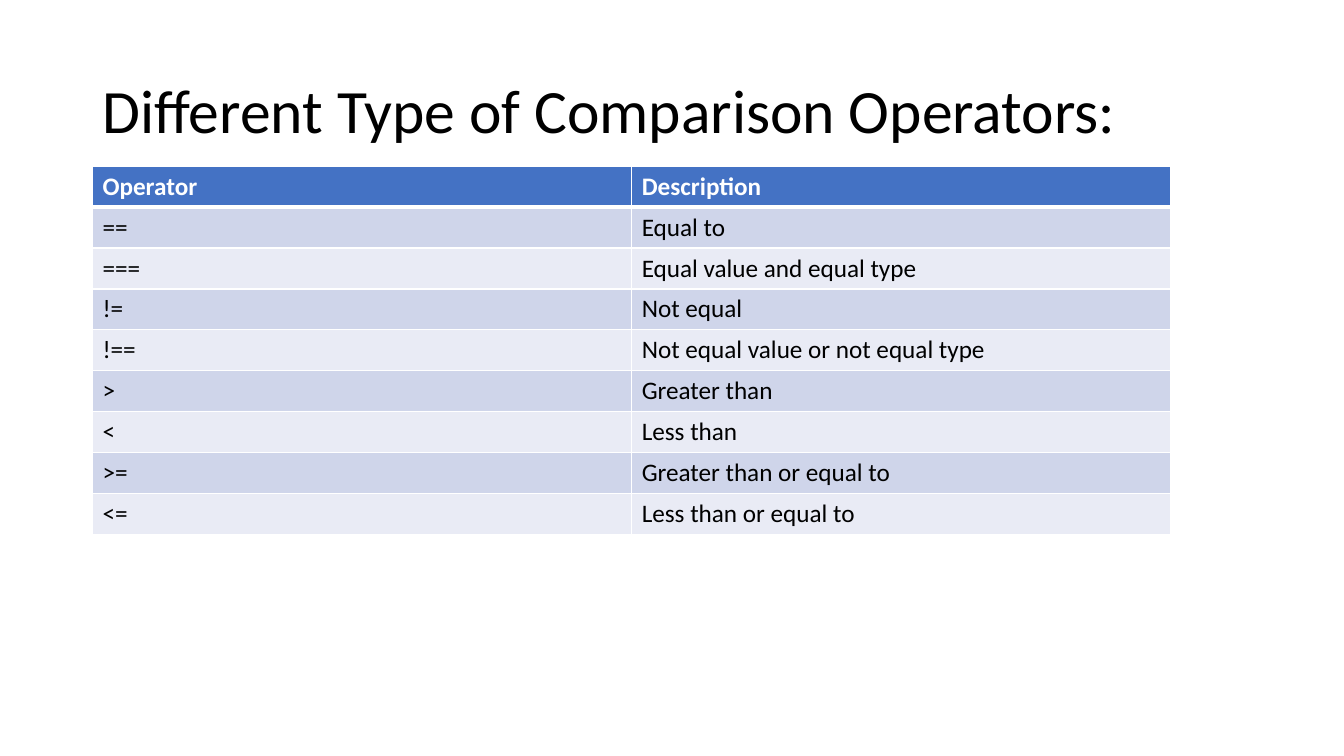
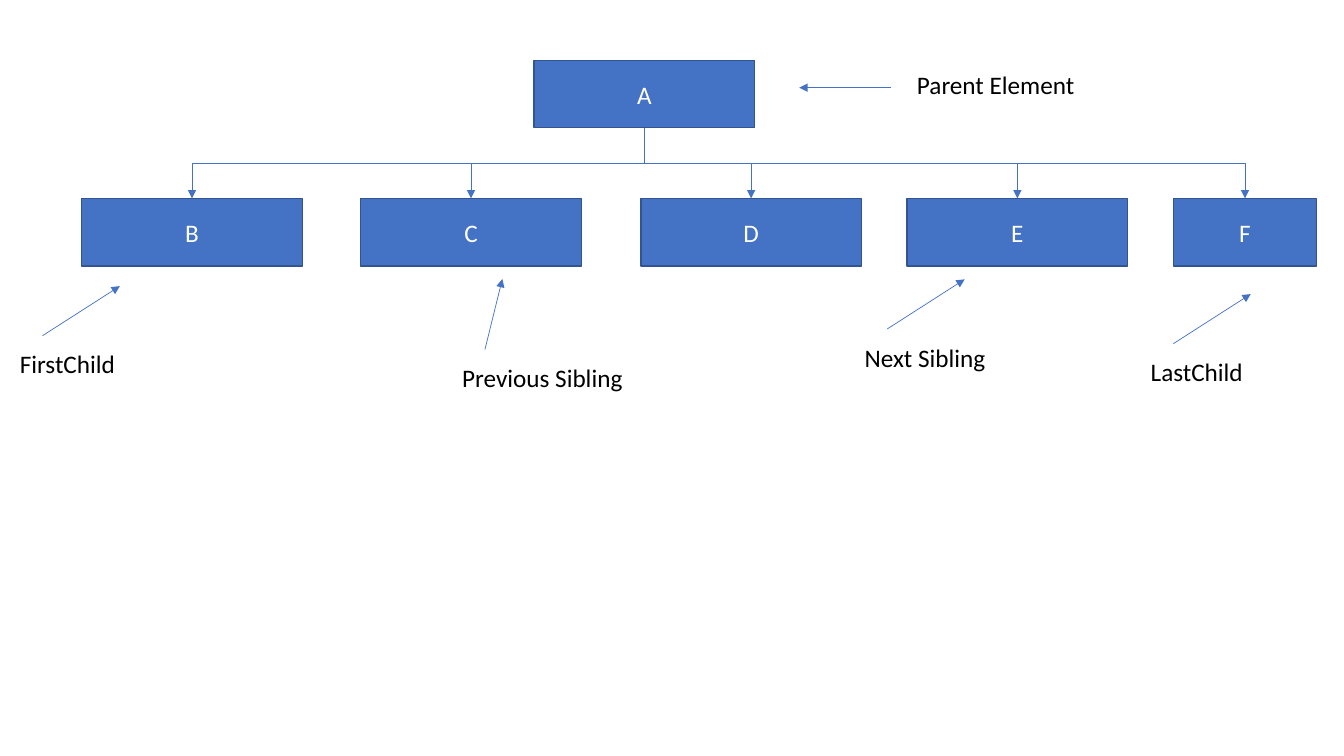
"""Build two slides: a comparison operator table and an element tree diagram."""
from lxml import etree
from pptx import Presentation, util as u
from pptx.dml.color import RGBColor
from pptx.enum import shapes, text
from pptx.oxml import ns

COLORS = {"blue": "4472C4", "edge": "325491", "band": "CFD5EA",
          "light": "E9EBF5", "white": "FFFFFF", "black": "000000"}
FONT = "Calibri"
TITLE_ONLY, BLANK = 5, 6
TOP_SITE, BOTTOM_SITE = 0, 2

OPERATORS = [
    ("Operator", "Description"),
    ("==", "Equal to"),
    ("===", "Equal value and equal type"),
    ("!=", "Not equal"),
    ("!==", "Not equal value or not equal type"),
    (">", "Greater than"),
    ("<", "Less than"),
    (">=", "Greater than or equal to"),
    ("<=", "Less than or equal to"),
]
NODE_WIDTH, NODE_HEIGHT = 5.56, 1.7
CHILD_TOP = 5
CHILDREN = [("B", 2.06, NODE_WIDTH), ("C", 9.09, NODE_WIDTH),
            ("D", 16.15, NODE_WIDTH), ("E", 22.86, NODE_WIDTH), ("F", 29.57, 3.61)]
SLANT = (1.95, -1.25)
BELOW = (-0.82, 0.2)
CALLOUTS = [
    ("Parent Element", 4.52, (22.45, 2.21), (-2.31, 0), (0.41, -0.58)),
    ("FirstChild", 2.95, (1.07, 8.46), SLANT, BELOW),
    ("LastChild", 2.87, (29.57, 8.66), SLANT, BELOW),
    ("Next Sibling", 3.58, (22.36, 8.29), SLANT, BELOW),
    ("Previous Sibling", 4.6, (12.22, 8.81), (0.44, -1.78), BELOW),
]


def rgb(name):
    """Return the named palette colour."""
    return RGBColor.from_string(COLORS[name])


def paint(part, color):
    """Give a shape or cell a solid fill."""
    part.fill.solid()
    part.fill.fore_color.rgb = rgb(color)


def write(frame, wording, color="black", size=18, bold=False):
    """Set the wording of a text frame and format its runs."""
    frame.text = wording
    for run in frame.paragraphs[0].runs:
        run.font.name = FONT
        run.font.size = u.Pt(size)
        run.font.bold = bold
        run.font.color.rgb = rgb(color)


def add_title(slide, wording):
    """Place and format the title placeholder."""
    title = slide.shapes.title
    title.left, title.top = u.Cm(2.33), u.Cm(1.01)
    title.width, title.height = u.Cm(29.21), u.Cm(3.68)
    write(title.text_frame, wording, size=44)
    title.text_frame.vertical_anchor = text.MSO_ANCHOR.MIDDLE
    heading = title.text_frame.paragraphs[0]
    heading.alignment = text.PP_ALIGN.LEFT
    heading.line_spacing = 0.9


def set_borders(cell, widths):
    """Draw white cell borders from a mapping of side to width in points."""
    properties = cell._tc.get_or_add_tcPr()
    for position, (side, width) in enumerate(widths.items()):
        border = etree.Element(ns.qn(f"a:ln{side}"), w=str(u.Pt(width)))
        fill = etree.SubElement(border, ns.qn("a:solidFill"))
        etree.SubElement(fill, ns.qn("a:srgbClr"), val=COLORS["white"])
        properties.insert(position, border)


def add_operator_table(slide, rows):
    """Add a table with a blue header and alternating bands."""
    column_width, row_height = u.Cm(13.59), u.Cm(1.03)
    table = slide.shapes.add_table(
        len(rows), 2, u.Cm(2.33), u.Cm(4.19),
        2 * column_width, len(rows) * row_height).table
    for row_number, row in enumerate(rows):
        header = row_number == 0
        if header:
            fill, ink, borders = "blue", "white", {"L": 1, "R": 1, "T": 1, "B": 3}
        else:
            fill = "band" if row_number % 2 else "light"
            ink, borders = "black", {"L": 1, "R": 1, "B": 1}
        for column_number, wording in enumerate(row):
            cell = table.cell(row_number, column_number)
            write(cell.text_frame, wording, ink, bold=header)
            paint(cell, fill)
            set_borders(cell, borders)


def add_node(slide, wording, left, top, width=NODE_WIDTH):
    """Add one labelled element box."""
    node = slide.shapes.add_shape(
        shapes.MSO_SHAPE.RECTANGLE, u.Cm(left), u.Cm(top), u.Cm(width), u.Cm(NODE_HEIGHT))
    node.shadow.inherit = False
    paint(node, "blue")
    node.line.color.rgb = rgb("edge")
    node.line.width = u.Pt(1)
    write(node.text_frame, wording, "white")
    node.text_frame.vertical_anchor = text.MSO_ANCHOR.MIDDLE
    node.text_frame.paragraphs[0].alignment = text.PP_ALIGN.CENTER
    return node


def style_arrow(arrow):
    """Give a connector a thin blue line, a triangle head and no shadow."""
    arrow.line.color.rgb = rgb("blue")
    arrow.line.width = u.Pt(0.5)
    etree.SubElement(arrow.line._get_or_add_ln(), ns.qn("a:tailEnd"), type="triangle")
    etree.SubElement(arrow._element.spPr, ns.qn("a:effectLst"))


def add_branch(slide, parent, child):
    """Join a parent's bottom to a child's top with an upright elbow arrow."""
    branch = slide.shapes.add_connector(shapes.MSO_CONNECTOR.ELBOW, 0, 0, 0, 0)
    branch.begin_connect(parent, BOTTOM_SITE)
    branch.end_connect(child, TOP_SITE)
    start_x, start_y = parent.left + parent.width // 2, parent.top + parent.height
    end_x, end_y = child.left + child.width // 2, child.top
    drop, reach = end_y - start_y, abs(end_x - start_x)
    branch.left = (start_x + end_x - drop) // 2
    branch.top = (start_y + end_y - reach) // 2
    branch.width, branch.height = drop, reach
    rightward = end_x > start_x
    turn = branch._element.spPr.find(ns.qn("a:xfrm"))
    turn.set("rot", str((270 if rightward else 90) * 60000))
    turn.set("flipH", "1" if rightward else "0")
    style_arrow(branch)


def add_callout(slide, wording, width, start, reach, offset):
    """Add a straight arrow and the wording beside its start."""
    x, y = start
    pointer = slide.shapes.add_connector(
        shapes.MSO_CONNECTOR.STRAIGHT, u.Cm(x), u.Cm(y),
        u.Cm(x + reach[0]), u.Cm(y + reach[1]))
    style_arrow(pointer)
    label = slide.shapes.add_textbox(
        u.Cm(x + offset[0]), u.Cm(y + offset[1]), u.Cm(width), u.Cm(1.03))
    write(label.text_frame, wording)
    label.text_frame.word_wrap = False
    label.text_frame.auto_size = text.MSO_AUTO_SIZE.SHAPE_TO_FIT_TEXT


def main():
    """Build and save both slides."""
    deck = Presentation()
    deck.slide_width, deck.slide_height = u.Cm(33.87), u.Cm(19.05)

    comparison = deck.slides.add_slide(deck.slide_layouts[TITLE_ONLY])
    add_title(comparison, "Different Type of Comparison Operators:")
    add_operator_table(comparison, OPERATORS)

    tree = deck.slides.add_slide(deck.slide_layouts[BLANK])
    root = add_node(tree, "A", 13.46, 1.52)
    children = [add_node(tree, name, left, CHILD_TOP, width)
                for name, left, width in CHILDREN]
    for child in children:
        add_branch(tree, root, child)
    for callout in CALLOUTS:
        add_callout(tree, *callout)

    deck.save("out.pptx")


main()
